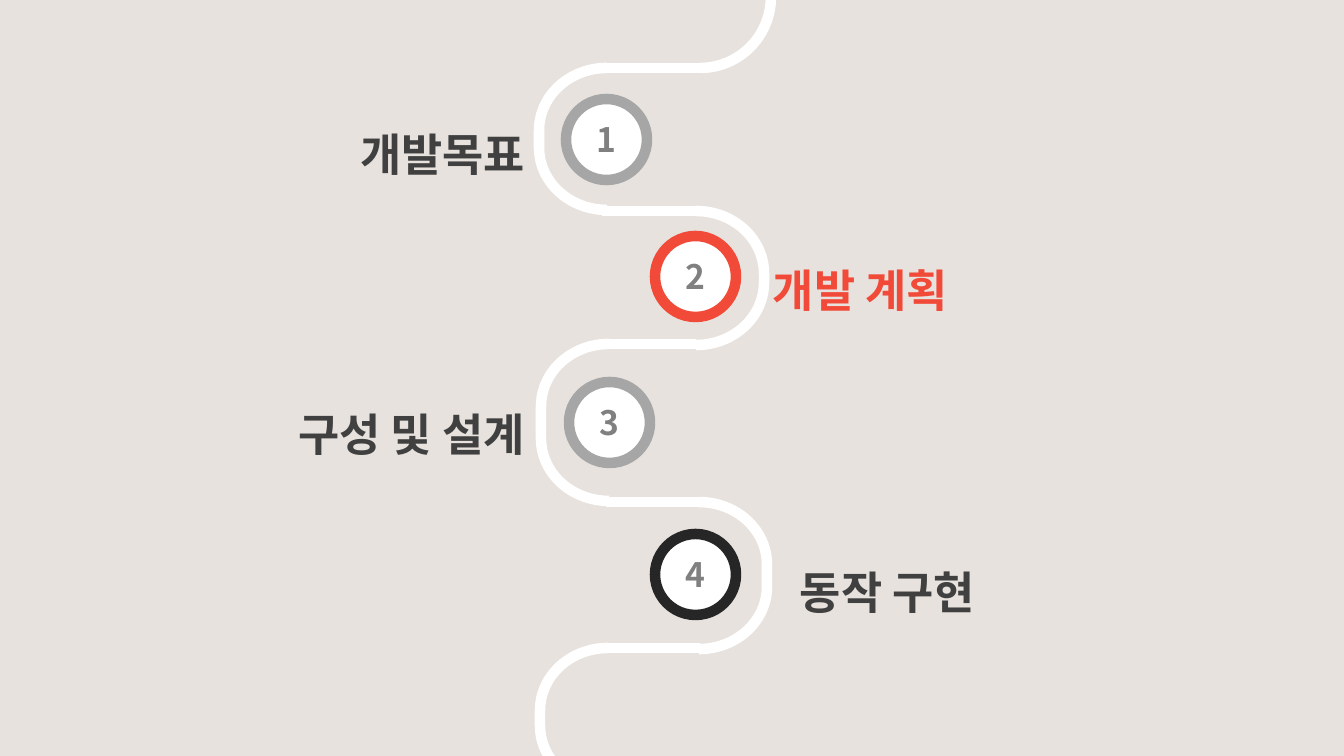
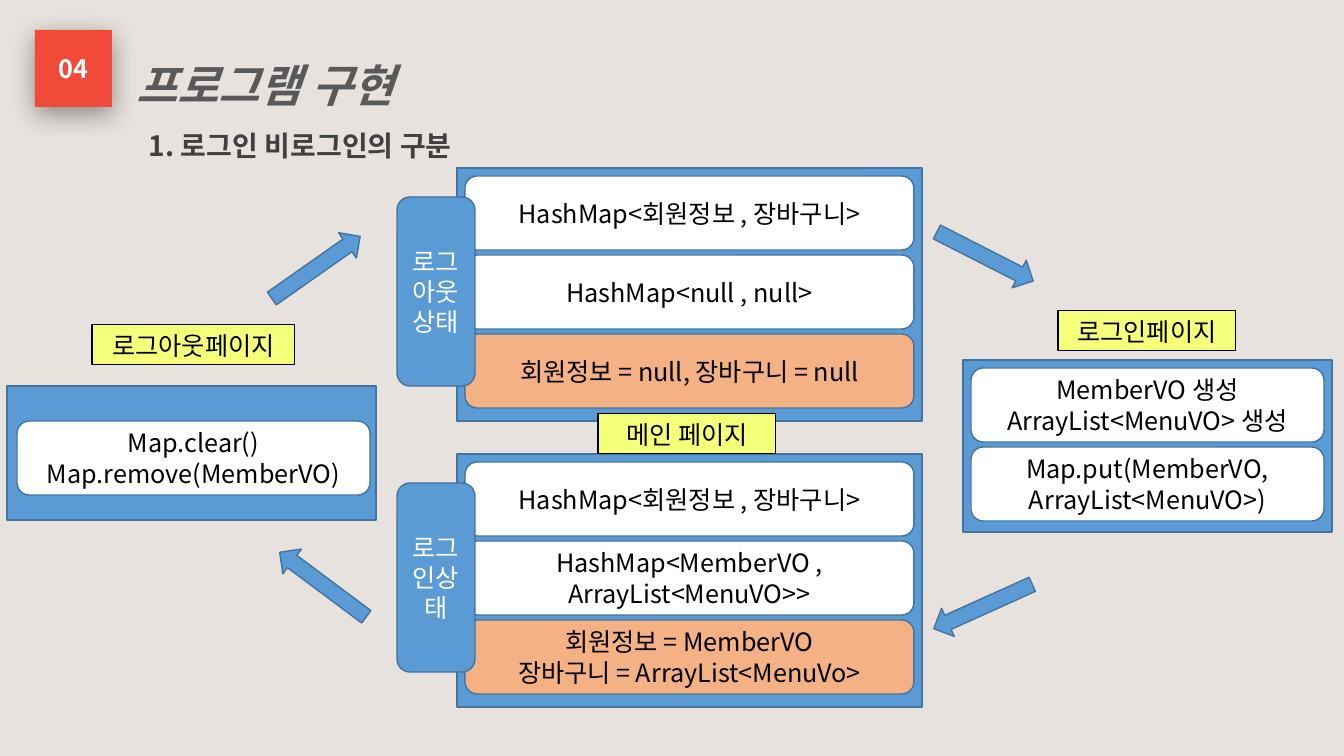
import lxml.etree
import pptx
import pptx.dml.color
import pptx.enum.shapes
import pptx.enum.text
import pptx.oxml.ns
import pptx.util

RGB = pptx.dml.color.RGBColor
SHAPE = pptx.enum.shapes.MSO_SHAPE
ALIGN = pptx.enum.text.PP_ALIGN
ANCHOR = pptx.enum.text.MSO_ANCHOR
Pt = pptx.util.Pt
qn = pptx.oxml.ns.qn

SLIDE_WIDTH, SLIDE_HEIGHT = 1344, 756
EMU_PER_PX = 12192000 / SLIDE_WIDTH

BACKDROP = RGB(0xE7, 0xE2, 0xDD)
WHITE = RGB(0xFF, 0xFF, 0xFF)
BLACK = RGB(0x00, 0x00, 0x00)
RED = RGB(0xF1, 0x4A, 0x38)
BLUE = RGB(0x5B, 0x9B, 0xD5)
DARK_BLUE = RGB(0x43, 0x73, 0x9E)
ORANGE = RGB(0xF4, 0xB1, 0x83)
YELLOW = RGB(0xF5, 0xFF, 0x79)
LIGHT_GREY = RGB(0xA6, 0xA6, 0xA6)
MID_GREY = RGB(0x80, 0x80, 0x80)
TITLE_GREY = RGB(0x59, 0x59, 0x59)
DARK_GREY = RGB(0x40, 0x40, 0x40)
CHARCOAL = RGB(0x26, 0x26, 0x26)

KOREAN_FONT = "Noto Sans CJK KR"
BODY = {"name": KOREAN_FONT, "size": Pt(18), "bold": False}
BADGE = {**BODY, "bold": True}
NUMBER = {**BADGE, "size": Pt(24)}
SUBTITLE = {**BADGE, "size": Pt(20)}
TITLE = {**BADGE, "size": Pt(32), "italic": True}
STEP_LABEL = {"name": "Arial", "size": Pt(32), "bold": True}

ROAD_WIDTH = 7.5
CIRCLE_SIZE = 81
CARD_HEIGHT, CARD_PITCH, CARD_MARGIN = 74, 79, 8


def px(length):
    return round(length * EMU_PER_PX)


def box_px(*lengths):
    return [px(length) for length in lengths]


def write(frame, text, font_format, color, align=ALIGN.CENTER,
          anchor=ANCHOR.MIDDLE, spacing=None):
    frame.text = text
    frame.word_wrap = True
    frame.vertical_anchor = anchor
    for paragraph in frame.paragraphs:
        paragraph.alignment = align
        paragraph.line_spacing = spacing
        for run in paragraph.runs:
            for attribute, value in font_format.items():
                setattr(run.font, attribute, value)
            run.font.color.rgb = color
            east_asian = lxml.etree.SubElement(run._r.get_or_add_rPr(), qn("a:ea"))
            east_asian.set("typeface", KOREAN_FONT)


def add_block(slide, kind, box, fill=None, line=None, line_width=1, rotation=0):
    block = slide.shapes.add_shape(kind, *box_px(*box))
    block.shadow.inherit = False
    block.rotation = rotation
    if fill is None:
        block.fill.background()
    else:
        block.fill.solid()
        block.fill.fore_color.rgb = fill
    if line is None:
        block.line.fill.background()
    else:
        block.line.color.rgb = line
        block.line.width = Pt(line_width)
    return block


def add_label(slide, box, text, font_format, color, align=ALIGN.LEFT):
    label = slide.shapes.add_textbox(*box_px(*box))
    write(label.text_frame, text, font_format, color, align, ANCHOR.TOP, 1.5)


def add_road_bend(slide, left, top, height, rotation=0):
    bend = add_block(slide, SHAPE.LEFT_BRACKET, (left, top, 68, height),
                     line=WHITE, line_width=ROAD_WIDTH, rotation=rotation)
    bend.adjustments[0] = 0.92


def add_road_straight(slide, left, y):
    straight = slide.shapes.add_connector(
        pptx.enum.shapes.MSO_CONNECTOR.STRAIGHT, *box_px(left, y, left + 97, y))
    straight.line.color.rgb = WHITE
    straight.line.width = Pt(ROAD_WIDTH)
    lxml.etree.SubElement(straight._element.spPr, qn("a:effectLst"))


def add_road_entry(slide):
    entry = add_block(slide, SHAPE.ARC, (629, -74, 142, 142),
                      line=WHITE, line_width=ROAD_WIDTH)
    entry.adjustments[0] = 1.2
    entry.adjustments[1] = 53.68


def add_step_circle(slide, number, left, top, ring):
    circle = add_block(slide, SHAPE.OVAL, (left, top, CIRCLE_SIZE, CIRCLE_SIZE),
                       WHITE, ring, ROAD_WIDTH)
    write(circle.text_frame, str(number), NUMBER, MID_GREY)


def add_badge(slide, text):
    badge = add_block(slide, SHAPE.RECTANGLE, (35, 30, 77, 77), RED)
    write(badge.text_frame, text, BADGE, WHITE)
    shadow = lxml.etree.SubElement(
        badge._element.spPr.find(qn("a:effectLst")), qn("a:outerShdw"),
        blurRad=str(Pt(19)), dist=str(Pt(5)), dir="5400000",
        algn="t", rotWithShape="0")
    shadow_color = lxml.etree.SubElement(shadow, qn("a:srgbClr"), val=str(BLACK))
    lxml.etree.SubElement(shadow_color, qn("a:alpha"), val="40000")


def add_panel(slide, box, cards, first_card=(CARD_MARGIN, CARD_MARGIN)):
    """Blue panel with a column of rounded (text, fill) cards."""
    left, top, width, _ = box
    add_block(slide, SHAPE.RECTANGLE, box, BLUE, DARK_BLUE)
    for index, (text, fill) in enumerate(cards):
        card_box = (left + first_card[0], top + first_card[1] + index * CARD_PITCH,
                    width - 2 * CARD_MARGIN, CARD_HEIGHT)
        card = add_block(slide, SHAPE.ROUNDED_RECTANGLE, card_box, fill, DARK_BLUE)
        write(card.text_frame, text, BODY, BLACK)


def add_state(slide, top, state, cards):
    """Main-page panel with its state tab on the left edge."""
    add_panel(slide, (457, top, 465, 253), cards)
    tab = add_block(slide, SHAPE.ROUNDED_RECTANGLE, (397, top + 29, 78, 189),
                    BLUE, DARK_BLUE)
    write(tab.text_frame, state, BODY, WHITE)


def add_page_tag(slide, left, top, width, text):
    tag = add_block(slide, SHAPE.RECTANGLE, (left, top, width, 40),
                    YELLOW, BLACK, 0.75)
    write(tag.text_frame, text, BODY, BLACK)


def build_roadmap(prs):
    slide = prs.slides.add_slide(prs.slide_layouts[6])
    add_road_entry(slide)
    for left, top, height, rotation in [
            (539, 68, 142, 0), (696, 211, 134, 180), (541, 344, 157, 0),
            (699, 502, 147, 180), (540, 648, 140, 0)]:
        add_road_bend(slide, left, top, height, rotation)
    for left, y in [(604, 68), (602, 211), (599, 344), (606, 502), (603, 648)]:
        add_road_straight(slide, left, y)

    steps = [
        (566, 99, LIGHT_GREY, "개발목표", 140, 95, DARK_GREY, ALIGN.RIGHT),
        (655, 236, RED, "개발 계획", 763, 231, RED, ALIGN.LEFT),
        (569, 382, LIGHT_GREY, "구성 및 설계", 140, 375, DARK_GREY, ALIGN.RIGHT),
        (655, 534, CHARCOAL, "동작 구현", 590, 533, DARK_GREY, ALIGN.RIGHT),
    ]
    for number, step in enumerate(steps, start=1):
        left, top, ring, name, name_left, name_top, color, align = step
        add_step_circle(slide, number, left, top, ring)
        add_label(slide, (name_left, name_top, 395, 81), name,
                  STEP_LABEL, color, align)


def build_login_flow(prs):
    slide = prs.slides.add_slide(prs.slide_layouts[5])
    title = slide.shapes.title
    title.left, title.top, title.width, title.height = box_px(126, 26, 670, 92)
    write(title.text_frame, "프로그램 구현", TITLE, TITLE_GREY,
          ALIGN.LEFT, ANCHOR.TOP, 1.5)
    title.text_frame.auto_size = pptx.enum.text.MSO_AUTO_SIZE.NONE
    add_badge(slide, "04")
    add_label(slide, (139, 107, 395, 61), "1. 로그인 비로그인의 구분",
              SUBTITLE, DARK_GREY)

    map_card = ("HashMap<회원정보 , 장바구니>", WHITE)
    add_state(slide, 168, "로그아웃 상태", [
        map_card,
        ("HashMap<null , null>", WHITE),
        ("회원정보 = null, 장바구니 = null", ORANGE)])
    add_state(slide, 454, "로그인상태", [
        map_card,
        ("HashMap<MemberVO , ArrayList<MenuVO>>", WHITE),
        ("회원정보 = MemberVO\n장바구니 = ArrayList<MenuVo>", ORANGE)])
    add_panel(slide, (963, 360, 369, 172), [
        ("MemberVO 생성\nArrayList<MenuVO> 생성", WHITE),
        ("Map.put(MemberVO, ArrayList<MenuVO>)", WHITE)])
    add_panel(slide, (7, 386, 369, 134),
              [("Map.clear()\nMap.remove(MemberVO)", WHITE)], first_card=(10, 35))

    for left, top, width, page in [
            (1058, 311, 178, "로그인페이지"), (92, 325, 203, "로그아웃페이지"),
            (598, 414, 178, "메인 페이지")]:
        add_page_tag(slide, left, top, width, page)
    for left, top, rotation in [
            (931, 241, 27), (929, 591, 155.7), (269, 569, 216.7), (262, 252, 324.9)]:
        add_block(slide, SHAPE.RIGHT_ARROW, (left, top, 108, 31),
                  BLUE, DARK_BLUE, rotation=rotation)


def main():
    prs = pptx.Presentation()
    prs.slide_width, prs.slide_height = box_px(SLIDE_WIDTH, SLIDE_HEIGHT)
    backdrop = prs.slide_master.background.fill
    backdrop.solid()
    backdrop.fore_color.rgb = BACKDROP
    build_roadmap(prs)
    build_login_flow(prs)
    prs.save("out.pptx")


if __name__ == "__main__":
    main()
